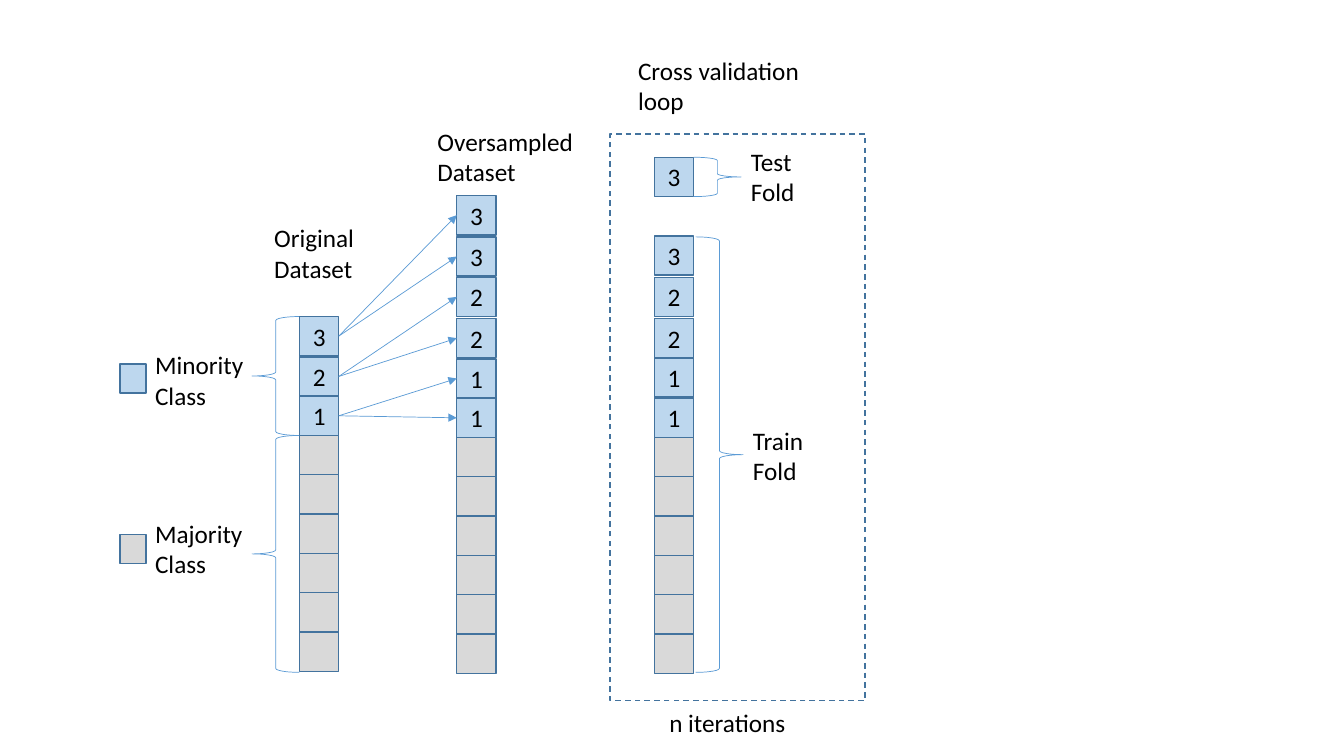
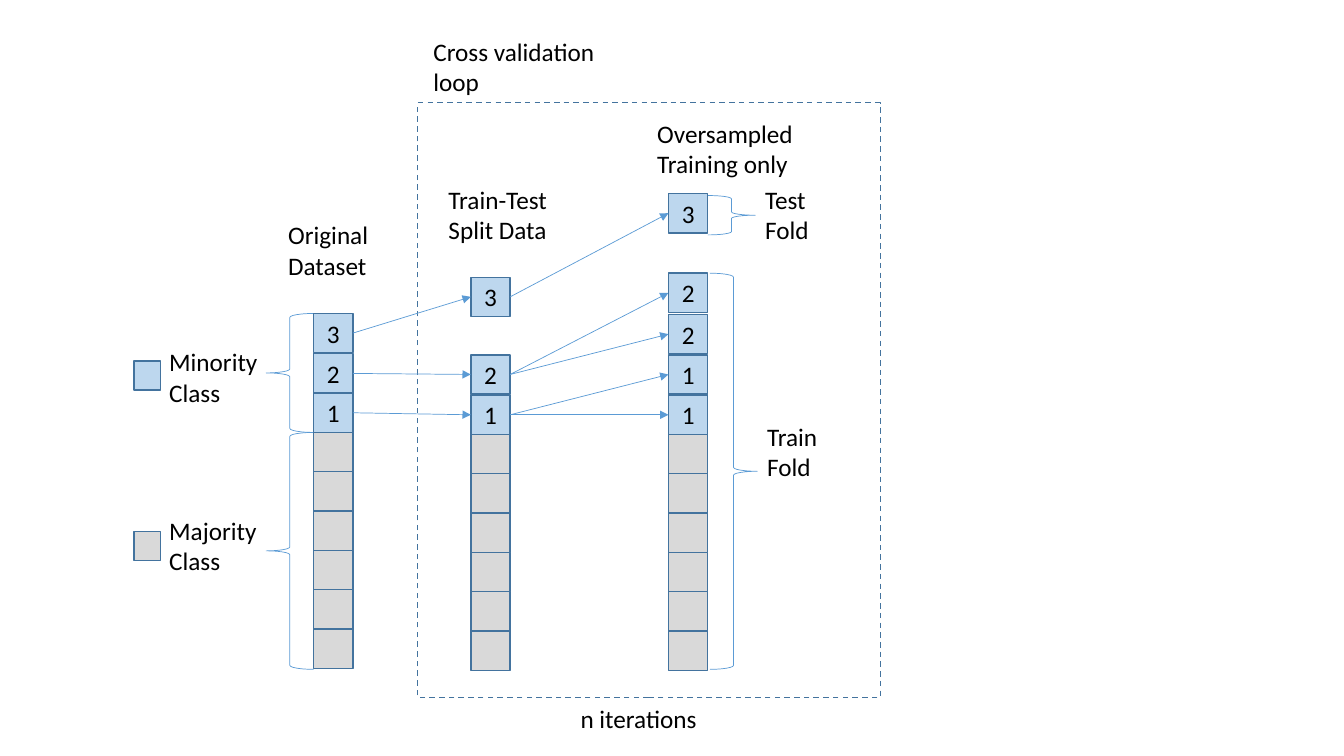
"""Two slides comparing oversampling before and inside a cross validation loop."""
from lxml.etree import SubElement
from pptx import Presentation
from pptx.dml.color import RGBColor
from pptx.enum.dml import MSO_LINE_DASH_STYLE as Dash
from pptx.enum.shapes import MSO_CONNECTOR as Connector, MSO_SHAPE as Preset
from pptx.enum.text import MSO_ANCHOR as Anchor, MSO_AUTO_SIZE as AutoSize, PP_ALIGN as Align
from pptx.oxml.ns import qn
from pptx.util import Inches, Pt

COLORS = {"minority": "BDD7EE", "majority": "D9D9D9", "outline": "43739E",
          "link": "5B9BD5", "text": "000000"}
FONT, TEXT_SIZE = "Calibri", 18
CELL, BRACE_WIDTH, MAJORITY_COUNT = 0.39, 0.47, 6

ORIGINAL = {"left": 2.97, "minority": [("3", 3.14), ("2", 3.54), ("1", 3.93)], "majority": 4.32}
ORIGINAL_LABELS = [("Original Dataset", 2.62, 2.16, 1.38, 0.71),
                   ("Minority Class", 1.44, 3.42, 1.1, 0.71),
                   ("Majority Class", 1.44, 5.09, 1.1, 0.71)]
ORIGINAL_BRACES = [(2.5, 3.14, 1.18), (2.5, 4.32, 2.35)]
LEGEND = [("minority", 1.19, 3.61), ("majority", 1.19, 5.3)]
LEGEND_SIZE = (0.26, 0.29)

SLIDES = [
    {
        "shift": (0, 0),
        "columns": [
            {"left": 4.53, "majority": 4.34,
             "minority": [("3", 1.94), ("3", 2.35), ("2", 2.75),
                          ("2", 3.16), ("1", 3.56), ("1", 3.95)]},
            {"left": 6.49, "majority": 4.34,
             "minority": [("3", 1.56), ("3", 2.34), ("2", 2.75),
                          ("2", 3.16), ("1", 3.55), ("1", 3.95)]},
        ],
        "arrows": [(0, 0, 0), (0, 0, 1), (0, 1, 2), (0, 1, 3), (0, 2, 4), (0, 2, 5)],
        "frame": (6.05, 1.33, 2.53, 5.62),
        "fold_braces": [(6.9, 2.35, 4.32), (6.88, 1.56, 0.39)],
        "labels": [("Oversampled Dataset", 4.24, 1.2, 1.82, 0.71),
                   ("Cross validation loop", 6.23, 0.5, 1.82, 0.71),
                   ("n iterations", 6.54, 6.97, 1.55, 0.4),
                   ("Train Fold", 7.37, 4.17, 1.03, 0.71),
                   ("Test Fold", 7.35, 1.4, 1.03, 0.71)],
    },
    {
        "shift": (0.14, -0.03),
        "columns": [
            {"left": 4.67, "majority": 4.31,
             "minority": [("3", 2.75), ("2", 3.52), ("1", 3.92)]},
            {"left": 6.63, "majority": 4.31,
             "minority": [("3", 1.92), ("2", 2.71), ("2", 3.12), ("1", 3.52), ("1", 3.92)]},
        ],
        "arrows": [(0, 0, 0), (0, 1, 1), (0, 2, 2), (1, 0, 0),
                   (1, 1, 1), (1, 1, 2), (1, 2, 3), (1, 2, 4)],
        "frame": (4.14, 1.02, 4.59, 5.9),
        "fold_braces": [(7.04, 2.71, 3.93), (7.02, 1.94, 0.39)],
        "labels": [("Train-Test Split Data", 4.35, 1.78, 1.5, 0.71),
                   ("Oversampled Training only", 6.42, 1.12, 2.1, 0.71),
                   ("Cross validation loop", 4.2, 0.31, 1.82, 0.71),
                   ("n iterations", 5.66, 6.93, 1.55, 0.4),
                   ("Train Fold", 7.51, 4.13, 1.03, 0.71),
                   ("Test Fold", 7.49, 1.78, 1.03, 0.71)],
    },
]


def color(name):
    return RGBColor.from_string(COLORS[name])


def add_text(frame, text):
    para = frame.paragraphs[0]
    span = para.add_run()
    span.text = text
    span.font.name, span.font.size = FONT, Pt(TEXT_SIZE)
    span.font.color.rgb = color("text")
    return para


def add_outline(page, preset, left, top, width, height, line="outline", weight=1, fill=None):
    shape = page.shapes.add_shape(preset, Inches(left), Inches(top), Inches(width), Inches(height))
    shape.shadow.inherit = False
    if fill:
        shape.fill.solid()
        shape.fill.fore_color.rgb = color(fill)
    else:
        shape.fill.background()
    shape.line.color.rgb = color(line)
    shape.line.width = Pt(weight)
    return shape


def add_cell(page, left, top, fill, digit=None):
    cell = add_outline(page, Preset.RECTANGLE, left, top, CELL, CELL, fill=fill)
    if digit:
        cell.text_frame.vertical_anchor = Anchor.MIDDLE
        add_text(cell.text_frame, digit).alignment = Align.CENTER
    return cell


def add_column(page, column, dx=0, dy=0):
    left = column["left"] + dx
    for row in range(MAJORITY_COUNT):
        add_cell(page, left, column["majority"] + row * CELL + dy, "majority")
    return [add_cell(page, left, top + dy, "minority", digit)
            for digit, top in column["minority"]]


def add_brace(page, left, top, height, rotation=0):
    brace = add_outline(page, Preset.LEFT_BRACE, left, top, BRACE_WIDTH, height, "link", 0.5)
    brace.rotation = rotation


def add_label(page, text, left, top, width, height):
    box = page.shapes.add_textbox(Inches(left), Inches(top), Inches(width), Inches(height))
    box.text_frame.word_wrap = True
    box.text_frame.auto_size = AutoSize.SHAPE_TO_FIT_TEXT
    add_text(box.text_frame, text)


def add_arrow(page, source, target):
    arrow = page.shapes.add_connector(Connector.STRAIGHT, 0, 0, 0, 0)
    arrow.begin_connect(source, 3)
    arrow.end_connect(target, 1)
    arrow.line.color.rgb = color("link")
    arrow.line.width = Pt(0.5)
    properties = arrow.element.spPr
    SubElement(properties.find(qn("a:ln")), qn("a:tailEnd"), type="triangle")
    SubElement(properties, qn("a:effectLst"))


def add_original(page, dx, dy):
    for text, left, top, width, height in ORIGINAL_LABELS:
        add_label(page, text, left + dx, top + dy, width, height)
    for left, top, height in ORIGINAL_BRACES:
        add_brace(page, left + dx, top + dy, height)
    for fill, left, top in LEGEND:
        add_outline(page, Preset.RECTANGLE, left + dx, top + dy, *LEGEND_SIZE, fill=fill)
    return add_column(page, ORIGINAL, dx, dy)


def build_slide(deck, content):
    page = deck.slides.add_slide(deck.slide_layouts[6])
    columns = [add_original(page, *content["shift"])]
    columns += [add_column(page, column) for column in content["columns"]]
    loop = add_outline(page, Preset.RECTANGLE, *content["frame"])
    loop.line.dash_style = Dash.DASH
    for brace in content["fold_braces"]:
        add_brace(page, *brace, rotation=180)
    for label in content["labels"]:
        add_label(page, *label)
    for column, source, target in content["arrows"]:
        add_arrow(page, columns[column][source], columns[column + 1][target])


deck = Presentation()
deck.slide_width, deck.slide_height = Inches(13.33), Inches(7.5)
for content in SLIDES:
    build_slide(deck, content)
deck.save("out.pptx")
